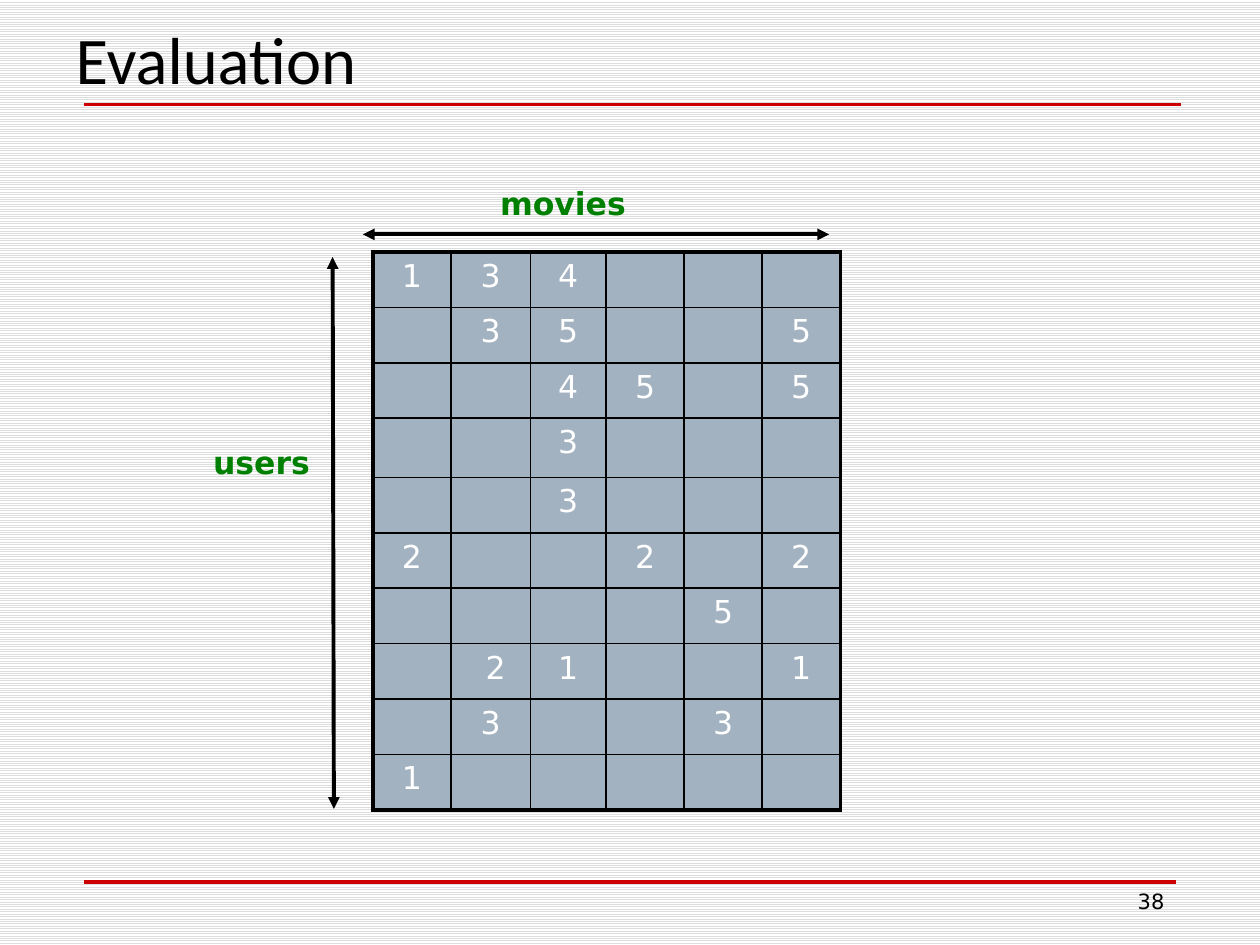
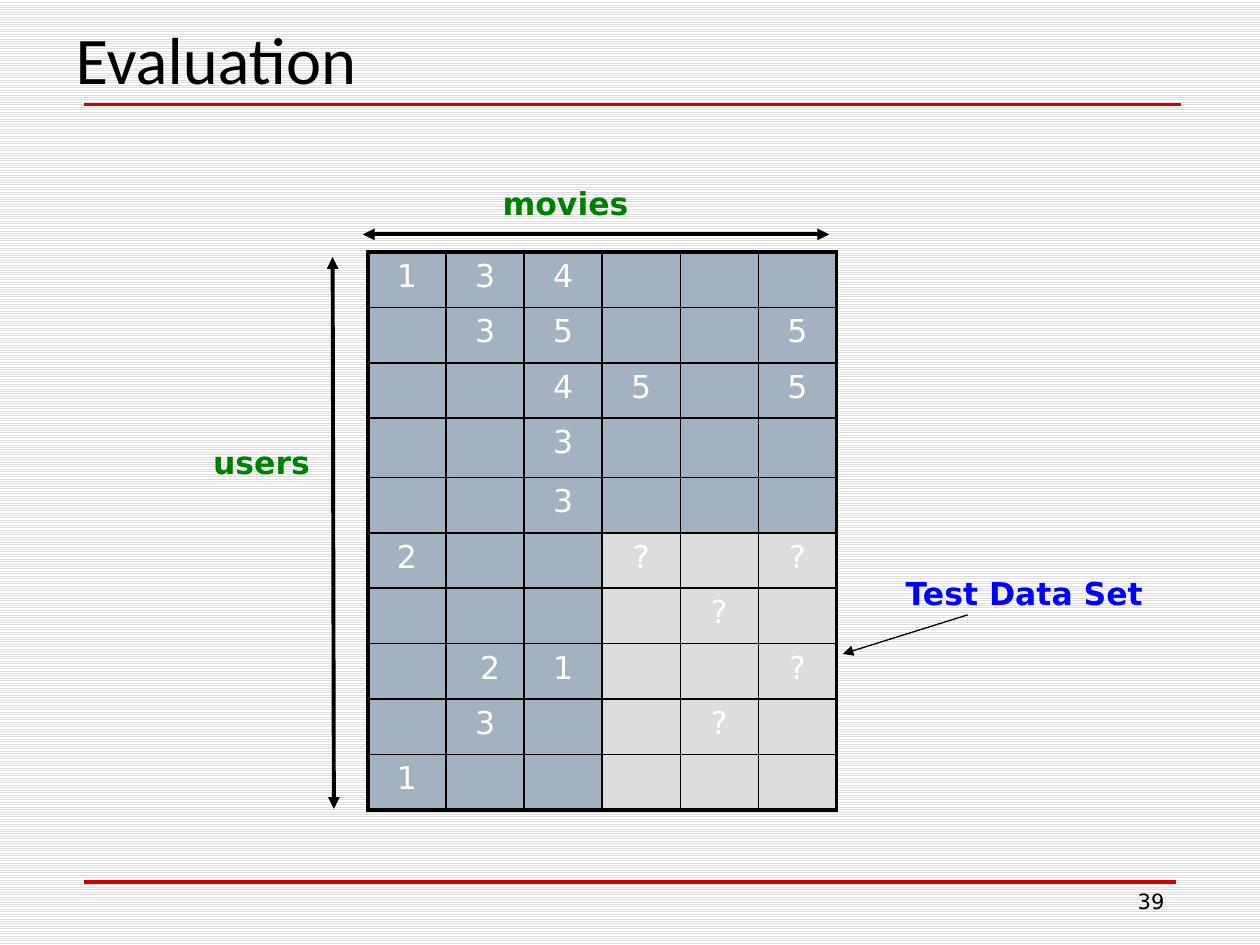
from pptx import Presentation
from pptx.dml.color import RGBColor
from pptx.enum.dml import MSO_PATTERN
from pptx.enum.text import MSO_ANCHOR as Anchor, MSO_AUTO_SIZE as AutoSize, PP_ALIGN as Align
from pptx.enum.shapes import MSO_CONNECTOR
from pptx.oxml.ns import qn
from pptx.util import Inches, Pt
from lxml.etree import SubElement

BLACK = RGBColor(0x00, 0x00, 0x00)
WHITE = RGBColor(0xFF, 0xFF, 0xFF)
RED = RGBColor(0xCC, 0x00, 0x00)
GREEN = RGBColor(0x00, 0x80, 0x00)
BLUE = RGBColor(0x00, 0x00, 0xFF)
SLATE = RGBColor(0xA3, 0xB2, 0xC1)
GREY = RGBColor(0xDD, 0xDD, 0xDD)

TITLE = {"name": "Calibri", "size": Pt(38), "color": BLACK}
RATING = {"name": "DejaVu Sans", "size": Pt(18), "color": WHITE}
AXIS = {**RATING, "color": GREEN, "bold": True}
CALLOUT = {**AXIS, "color": BLUE}
NUMBER = {**RATING, "size": Pt(12), "color": BLACK}

THIN, THICK = 1, 2.25
ROW_HEIGHTS = [0.47 if row == 3 else 0.44 for row in range(10)]
EVEN_COLUMNS = [0.62] * 6
UNEVEN_COLUMNS = [0.62, 0.63, 0.6, 0.62, 0.62, 0.62]
TEST_ROW, TEST_COLUMN = 5, 3

RATINGS = [
    ["1", "3", "4", "", "", ""],
    ["", "3", "5", "", "", "5"],
    ["", "", "4", "5", "", "5"],
    ["", "", "3", "", "", ""],
    ["", "", "3", "", "", ""],
    ["2", "", "", "2", "", "2"],
    ["", "", "", "", "5", ""],
    ["", " 2", "1", "", "", "1"],
    ["", "3", "", "", "3", ""],
    ["1", "", "", "", "", ""],
]


def is_test(row, column):
    """Tell whether a rating belongs to the test block."""
    return row >= TEST_ROW and column >= TEST_COLUMN


class Deck:
    """Holds the shared style and the slide being built."""

    def __init__(self):
        """Set the page size and the striped background."""
        self.prs = Presentation()
        self.prs.slide_width, self.prs.slide_height = Inches(10), Inches(7.5)
        stripes = self.prs.slide_master.background.fill
        stripes.patterned()
        stripes.pattern = MSO_PATTERN.LIGHT_HORIZONTAL
        stripes.fore_color.rgb, stripes.back_color.rgb = GREY, WHITE
        self.slide = None

    def put_text(self, frame, text, style, align=Align.LEFT):
        """Put one formatted line of text in a frame."""
        paragraph = frame.paragraphs[0]
        paragraph.alignment = align
        run = paragraph.add_run()
        run.text = text
        for key, value in style.items():
            if key == "color":
                run.font.color.rgb = value
            else:
                setattr(run.font, key, value)

    def start(self, heading, number):
        """Add a slide with its title, red rules and number."""
        self.slide = self.prs.slides.add_slide(self.prs.slide_layouts[5])
        self.line((0.67, 0.83), (9.37, 0.83), RED, 2)
        self.line((0.67, 7), (9.33, 7), RED, 2)
        title = self.slide.shapes.title
        place = {"left": 0.5, "top": -0.08, "width": 8.75, "height": 0.91}
        for key, value in place.items():
            setattr(title, key, Inches(value))
        frame = title.text_frame
        frame.auto_size, frame.vertical_anchor = AutoSize.NONE, Anchor.BOTTOM
        self.put_text(frame, heading, TITLE)
        self.label(number, (7.17, 7, 2.17, 0.52), NUMBER, Align.RIGHT)

    def label(self, text, box, style, align=Align.LEFT, wrap=True):
        """Add a text box."""
        frame = self.slide.shapes.add_textbox(*map(Inches, box)).text_frame
        frame.word_wrap = wrap
        self.put_text(frame, text, style, align)

    def line(self, begin, end, color=BLACK, width=THICK, arrows=()):
        """Add a straight line with triangles at the named ends."""
        points = map(Inches, (*begin, *end))
        connector = self.slide.shapes.add_connector(MSO_CONNECTOR.STRAIGHT, *points)
        connector.line.color.rgb = color
        connector.line.width = Pt(width)
        properties = connector._element.spPr
        stroke = properties.find(qn("a:ln"))
        for arrow in arrows:
            SubElement(stroke, qn(f"a:{arrow}"), type="triangle")
        SubElement(properties, qn("a:effectLst"))

    def border(self, cell, widths):
        """Draw black cell borders from widths by side."""
        properties = cell._tc.get_or_add_tcPr()
        for side, width in widths.items():
            edge = SubElement(properties, qn(f"a:ln{side}"), w=str(Pt(width)))
            fill = SubElement(edge, qn("a:solidFill"))
            SubElement(fill, qn("a:srgbClr"), val=str(BLACK))

    def matrix(self, left, columns, hide_test):
        """Add the rating table, with the test block hidden if asked."""
        last_row, last_column = len(RATINGS) - 1, len(columns) - 1
        size = Inches(sum(columns)), Inches(sum(ROW_HEIGHTS))
        table = self.slide.shapes.add_table(
            len(RATINGS), len(columns), Inches(left), Inches(2), *size).table
        table.first_row = table.horz_banding = False
        for column, width in zip(table.columns, columns):
            column.width = Inches(width)
        for row, height in zip(table.rows, ROW_HEIGHTS):
            row.height = Inches(height)
        for r, ratings in enumerate(RATINGS):
            for c, rating in enumerate(ratings):
                cell = table.cell(r, c)
                hidden = hide_test and is_test(r, c)
                outer = {"L": c == 0, "R": c == last_column,
                         "T": r == 0, "B": r == last_row}
                self.border(cell, {side: THICK if edge else THIN
                                   for side, edge in outer.items()})
                cell.fill.solid()
                cell.fill.fore_color.rgb = GREY if hidden else SLATE
                if rating:
                    shown = "?" if hidden else rating
                    self.put_text(cell.text_frame, shown, RATING, Align.CENTER)

    def evaluation(self, number, left, columns, movies_left, hide_test=False):
        """Build a slide with the rating matrix and its two axes."""
        self.start("Evaluation", number)
        self.matrix(left, columns, hide_test)
        self.label("movies", (movies_left, 1.41, 1.21, 0.4), AXIS, wrap=False)
        self.label("users", (1.1, 3.47, 1.95, 0.4), AXIS, Align.CENTER)
        both = ("headEnd", "tailEnd")
        self.line((2.64, 2.04), (2.65, 6.42), arrows=both)
        self.line((2.88, 1.86), (6.58, 1.86), arrows=both)


def main():
    """Build both slides and save them."""
    deck = Deck()
    deck.evaluation("38", 2.96, UNEVEN_COLUMNS, 3.87)
    deck.evaluation("39", 2.92, EVEN_COLUMNS, 3.89, hide_test=True)
    deck.label("Test Data Set", (7.09, 4.51, 2.1, 0.4), CALLOUT, wrap=False)
    deck.line((7.68, 4.88), (6.69, 5.19), width=0.75, arrows=("tailEnd",))
    deck.prs.save("out.pptx")


if __name__ == "__main__":
    main()
